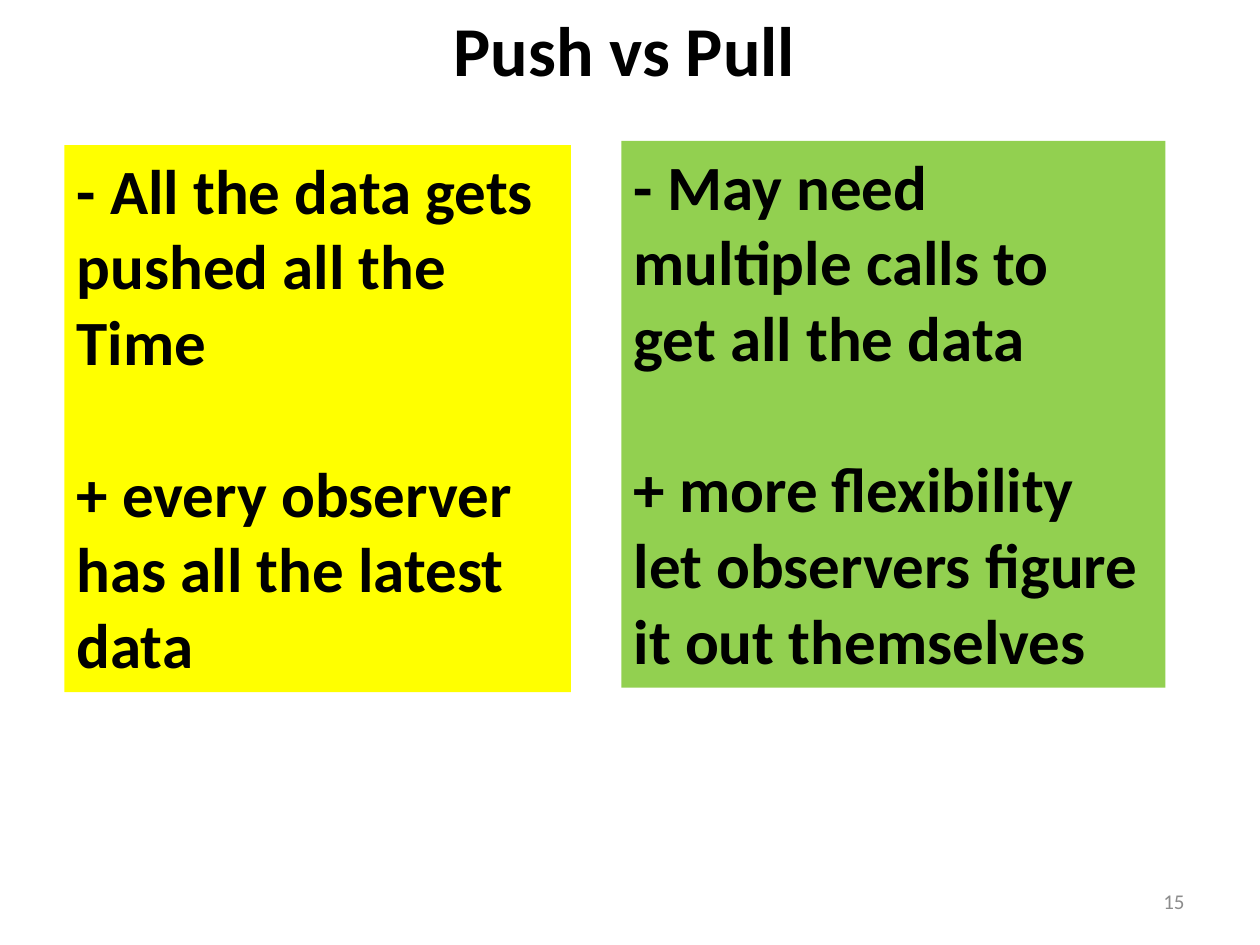
from dataclasses import dataclass

from pptx import Presentation
from pptx.dml.color import RGBColor
from pptx.enum.shapes import MSO_SHAPE
from pptx.enum.text import MSO_ANCHOR, PP_ALIGN
from pptx.util import Pt

FONT = "Calibri"
COLORS = {"ink": "000000", "gray": "8C8C8C", "push": "FFFF00", "pull": "92D050"}
GAP = 43.5  # one line of space between the two points of a panel


@dataclass
class Box:
    left: float
    top: float
    width: float
    height: float
    points: list[list[str]]
    size: float
    fill: str | None = None
    ink: str = "ink"
    bold: bool = True
    align: PP_ALIGN = PP_ALIGN.LEFT
    anchor: MSO_ANCHOR = MSO_ANCHOR.TOP


def color(name: str) -> RGBColor:
    return RGBColor.from_string(COLORS[name])


def draw(slide, box: Box) -> None:
    area = [Pt(n) for n in (box.left, box.top, box.width, box.height)]
    if box.fill:
        shape = slide.shapes.add_shape(MSO_SHAPE.RECTANGLE, *area)
        shape.shadow.inherit = False
        shape.fill.solid()
        shape.fill.fore_color.rgb = color(box.fill)
        shape.line.fill.background()
    else:
        shape = slide.shapes.add_textbox(*area)
    frame = shape.text_frame
    frame.word_wrap = True
    frame.vertical_anchor = box.anchor

    # One paragraph per line, with a gap before each later point
    lines = [(text, bool(i and not j))
             for i, point in enumerate(box.points)
             for j, text in enumerate(point)]
    for i, (text, gap) in enumerate(lines):
        para = frame.add_paragraph() if i else frame.paragraphs[0]
        para.text = text
        para.alignment = box.align
        if gap:
            para.space_before = Pt(GAP)
        font = para.font
        font.name, font.size, font.bold = FONT, Pt(box.size), box.bold
        font.color.rgb = color(box.ink)


BOXES = [
    # Slide number
    Box(516, 500.5, 168, 28.75, [["15"]], 12, ink="gray", bold=False,
        align=PP_ALIGN.RIGHT, anchor=MSO_ANCHOR.MIDDLE),
    # Title
    Box(70.5, 0, 572.5, 55.5, [["Push vs Pull"]], 40, align=PP_ALIGN.CENTER),
    # Panels
    Box(36.75, 83, 289.5, 312.5, [
        ["- All the data gets", "pushed all the", "Time"],
        ["+ every observer", "has all the latest", "data"],
    ], 36, fill="push"),
    Box(355, 80.5, 311, 312.5, [
        ["- May need", "multiple calls to", "get all the data"],
        ["+ more flexibility", "let observers figure", "it out themselves"],
    ], 36, fill="pull"),
]

deck = Presentation()
deck.slide_width, deck.slide_height = Pt(720), Pt(540)
page = deck.slides.add_slide(deck.slide_layouts[6])
for box in BOXES:
    draw(page, box)
deck.save("out.pptx")
